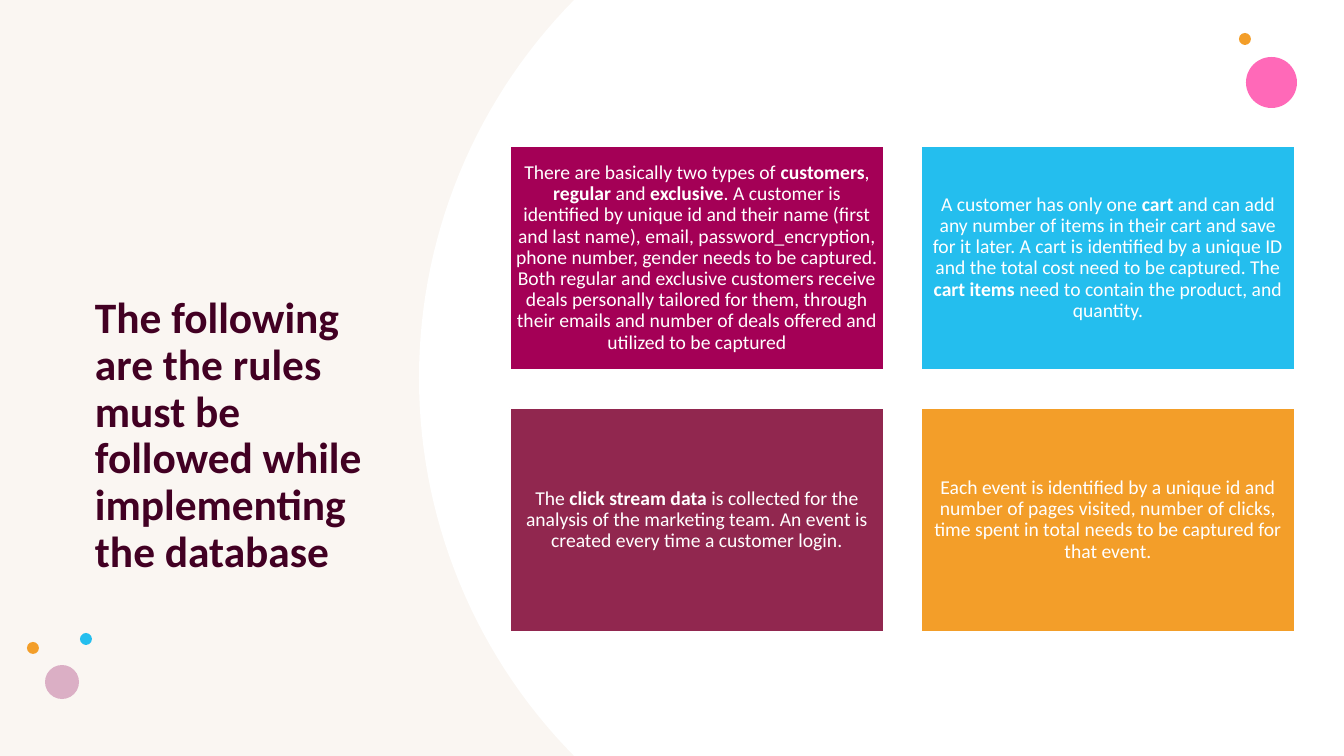
from math import asin, cos, sin

from pptx import Presentation
from pptx.dml.color import RGBColor
from pptx.enum.shapes import MSO_SHAPE
from pptx.enum.text import MSO_ANCHOR, PP_ALIGN
from pptx.util import Emu, Pt

WIDTH, HEIGHT = 1344, 756
COLORS = {
    "cream": "FAF6F2", "white": "FFFFFF", "title": "420023",
    "magenta": "A40056", "blue": "24BEEE", "plum": "91274F",
    "orange": "F39E29", "pink": "FF69B8", "mauve": "DBAFC5",
}
TITLE = "The following are the rules must be followed while implementing the database"
# Text between double asterisks is bold.
RULES = [
    ("magenta", "There are basically two types of **customers**, **regular** and "
     "**exclusive**. A customer is identified by unique id and their name (first and "
     "last name), email, password_encryption, phone number, gender needs to be "
     "captured. Both regular and exclusive customers receive deals personally "
     "tailored for them, through their emails and number of deals offered and "
     "utilized to be captured"),
    ("blue", "A customer has only one **cart** and can add any number of items in "
     "their cart and save for it later. A cart is identified by a unique ID and the "
     "total cost need to be captured. The **cart items** need to contain the "
     "product, and quantity."),
    ("plum", "The **click stream data** is collected for the analysis of the "
     "marketing team. An event is created every time a customer login."),
    ("orange", "Each event is identified by a unique id and number of pages visited, "
     "number of clicks, time spent in total needs to be captured for that event."),
]
# color, left, top, diameter
DOTS = [
    ("pink", 1246, 57, 51), ("orange", 1239, 33, 12), ("blue", 80, 633, 12),
    ("mauve", 45, 665, 34), ("orange", 27, 642, 12),
]
CARD_LEFT, CARD_TOP, CARD_W, CARD_H = 510, 146, 374, 224
COLUMN_STEP, ROW_STEP = 411, 262
ARC_LEFT, ARC_RADIUS, ARC_STEPS = 419, 538, 60


def px(n):
    return Emu(round(n * 914400 / 100.8))


def rgb(name):
    return RGBColor.from_string(COLORS[name])


def paint(sp, fill, line=None):
    sp.shadow.inherit = False
    sp.fill.solid()
    sp.fill.fore_color.rgb = rgb(fill)
    if line:
        sp.line.color.rgb = rgb(line)
        sp.line.width = Pt(1)
    else:
        sp.line.fill.background()


def add_shape(slide, kind, box, fill, line=None):
    sp = slide.shapes.add_shape(kind, *map(px, box))
    paint(sp, fill, line)
    return sp


def write(sp, text, *, size, color, insets, bold=False, align=PP_ALIGN.LEFT):
    """Fill a shape with one paragraph; insets run left, top, right, bottom."""
    tf = sp.text_frame
    tf.word_wrap = True
    tf.vertical_anchor = MSO_ANCHOR.MIDDLE
    tf.margin_left, tf.margin_top, tf.margin_right, tf.margin_bottom = map(px, insets)
    p = tf.paragraphs[0]
    p.alignment = align
    p.line_spacing = 0.9
    for i, part in enumerate(text.split("**")):
        r = p.add_run()
        r.text = part
        r.font.name = "Calibri"
        r.font.size = Pt(size)
        r.font.bold = bold or i % 2 == 1
        r.font.color.rgb = rgb(color)


def add_white_panel(slide):
    """Area right of a circular arc that spans the slide height."""
    half = asin(HEIGHT / 2 / ARC_RADIUS)
    angles = [half - 2 * half * i / ARC_STEPS for i in range(ARC_STEPS + 1)]
    arc = [(px(ARC_LEFT + ARC_RADIUS * (1 - cos(a))),
            px(HEIGHT / 2 + ARC_RADIUS * sin(a))) for a in angles]
    builder = slide.shapes.build_freeform(px(WIDTH), 0, scale=1.0)
    builder.add_line_segments([(px(WIDTH), px(HEIGHT)), *arc], close=True)
    paint(builder.convert_to_shape(), "white")


def main():
    prs = Presentation()
    prs.slide_width, prs.slide_height = px(WIDTH), px(HEIGHT)
    slide = prs.slides.add_slide(prs.slide_layouts[6])
    slide.background.fill.solid()
    slide.background.fill.fore_color.rgb = rgb("cream")

    add_white_panel(slide)
    for color, left, top, size in DOTS:
        add_shape(slide, MSO_SHAPE.OVAL, (left, top, size, size), color)

    title = slide.shapes.add_textbox(px(85), px(105), px(315), px(569))
    write(title, TITLE, size=31, color="title", bold=True, insets=(10, 99, 10, 5))

    for i, (color, text) in enumerate(RULES):
        row, column = divmod(i, 2)
        box = (CARD_LEFT + column * COLUMN_STEP, CARD_TOP + row * ROW_STEP,
               CARD_W, CARD_H)
        card = add_shape(slide, MSO_SHAPE.RECTANGLE, box, color, line="white")
        write(card, text, size=14, color="white", insets=(6, 6, 6, 6),
              align=PP_ALIGN.CENTER)

    prs.save("out.pptx")


if __name__ == "__main__":
    main()
